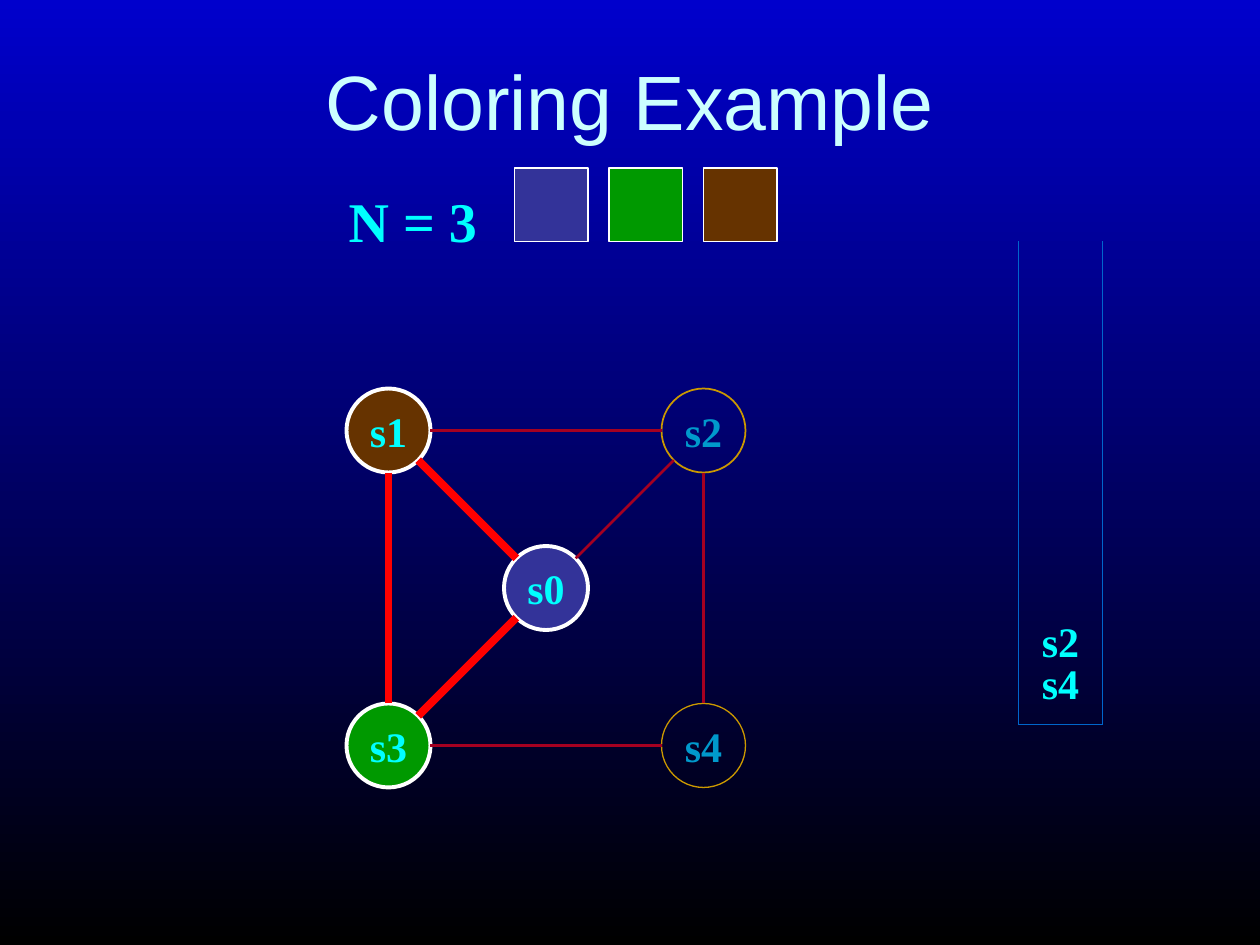
from math import hypot

from pptx import Presentation
from pptx.dml.color import RGBColor
from pptx.enum.shapes import MSO_CONNECTOR as Connector, MSO_SHAPE as Preset
from pptx.enum.text import MSO_ANCHOR as Anchor, MSO_AUTO_SIZE as AutoSize, PP_ALIGN as Align
from pptx.oxml.ns import qn
from pptx.util import Pt
from lxml.etree import SubElement

BLUE = RGBColor(0x00, 0x00, 0xCC)
BLACK = RGBColor(0x00, 0x00, 0x00)
WHITE = RGBColor(0xFF, 0xFF, 0xFF)
PALE_CYAN = RGBColor(0xCC, 0xFF, 0xFF)
CYAN = RGBColor(0x00, 0xFF, 0xFF)
DIM_CYAN = RGBColor(0x00, 0x99, 0xCC)
STACK_BLUE = RGBColor(0x00, 0x66, 0xCC)
GOLD = RGBColor(0xCC, 0x99, 0x00)
RED = RGBColor(0xFF, 0x00, 0x00)
DARK_RED = RGBColor(0xA5, 0x00, 0x21)
INDIGO = RGBColor(0x33, 0x33, 0x99)
GREEN = RGBColor(0x00, 0x99, 0x00)
BROWN = RGBColor(0x66, 0x33, 0x00)

RADIUS = 24
LABEL_SIZE = 36
SWATCH_SIZE = 42
SWATCH_STEP = 54
STACK_LEFT, STACK_RIGHT, STACK_TOP, STACK_BOTTOM = 582, 630, 138, 414

NODES = {
    "s1": (222, 246, BROWN, WHITE, 2.25),
    "s2": (402, 246, None, GOLD, 1),
    "s3": (222, 426, GREEN, WHITE, 2.25),
    "s4": (402, 426, None, GOLD, 0.75),
    "s0": (312, 336, INDIGO, WHITE, 2.25),
}
EDGES = [
    ("s1", "s2", DARK_RED, 1.5),
    ("s0", "s2", DARK_RED, 1.5),
    ("s3", "s4", DARK_RED, 2.25),
    ("s2", "s4", DARK_RED, 2.25),
    ("s1", "s0", RED, 4.5),
    ("s1", "s3", RED, 4.5),
    ("s3", "s0", RED, 4.5),
]


def apply_format(target, values):
    for attribute, value in values.items():
        setattr(target, attribute, value)


def write_text(holder, wording, size, color, font, bold=False):
    frame = holder.text_frame
    frame.text = wording
    frame.vertical_anchor = Anchor.MIDDLE
    paragraph = frame.paragraphs[0]
    paragraph.alignment = Align.CENTER
    run_font = paragraph.runs[0].font
    apply_format(run_font, {"name": font, "size": Pt(size), "bold": bold})
    run_font.color.rgb = color


def add_label(slide, wording, left, top, width=LABEL_SIZE, height=LABEL_SIZE, size=24, color=CYAN):
    label = slide.shapes.add_textbox(Pt(left), Pt(top), Pt(width), Pt(height))
    write_text(label, wording, size, color, "Times New Roman", True)
    apply_format(label.text_frame, {"word_wrap": False, "auto_size": AutoSize.SHAPE_TO_FIT_TEXT})


def add_figure(slide, preset, left, top, size, fill, outline, weight):
    figure = slide.shapes.add_shape(preset, Pt(left), Pt(top), Pt(size), Pt(size))
    figure.shadow.inherit = False
    if fill is None:
        figure.fill.background()
    else:
        figure.fill.solid()
        figure.fill.fore_color.rgb = fill
    figure.line.color.rgb = outline
    figure.line.width = Pt(weight)


def add_line(slide, start, end, color, weight):
    ends = [Pt(length) for length in (*start, *end)]
    line = slide.shapes.add_connector(Connector.STRAIGHT, *ends)
    line.line.color.rgb = color
    line.line.width = Pt(weight)
    SubElement(line._element.spPr, qn("a:effectLst"))


def add_node(slide, name):
    x, y, fill, outline, weight = NODES[name]
    add_figure(slide, Preset.OVAL, x - RADIUS, y - RADIUS, 2 * RADIUS, fill, outline, weight)
    add_label(slide, name, x - LABEL_SIZE / 2, y - LABEL_SIZE / 2,
              color=CYAN if fill else DIM_CYAN)


def add_edge(slide, first, second, color, weight):
    (x1, y1), (x2, y2) = NODES[first][:2], NODES[second][:2]
    share = RADIUS / hypot(x2 - x1, y2 - y1)
    dx, dy = (x2 - x1) * share, (y2 - y1) * share
    add_line(slide, (x1 + dx, y1 + dy), (x2 - dx, y2 - dy), color, weight)


def add_stack(slide, names):
    corners = [(STACK_LEFT, STACK_TOP), (STACK_LEFT, STACK_BOTTOM),
               (STACK_RIGHT, STACK_BOTTOM), (STACK_RIGHT, STACK_TOP)]
    for start, end in zip(corners, corners[1:]):
        add_line(slide, start, end, STACK_BLUE, 0.75)
    for level, name in enumerate(names):
        add_label(slide, name, STACK_LEFT + 6, 372 - 24 * level)


def add_palette(slide):
    add_label(slide, "N = 3", 192, 103, 88, 45, size=32)
    for position, color in enumerate((INDIGO, GREEN, BROWN)):
        add_figure(slide, Preset.RECTANGLE, 294 + SWATCH_STEP * position, 96,
                   SWATCH_SIZE, color, WHITE, 0.75)


def paint_background(slide):
    fill = slide.background.fill
    fill.gradient()
    fill.gradient_angle = 270
    for stop, position, color in zip(fill.gradient_stops, (0, 1), (BLUE, BLACK)):
        stop.position = position
        stop.color.rgb = color


def add_title(slide, wording):
    title = slide.shapes.title
    apply_format(title, {"left": Pt(30), "top": Pt(12), "width": Pt(660), "height": Pt(90)})
    write_text(title, wording, 44, PALE_CYAN, "Arial")


def main():
    deck = Presentation()
    apply_format(deck, {"slide_width": Pt(720), "slide_height": Pt(540)})
    slide = deck.slides.add_slide(deck.slide_layouts[5])
    paint_background(slide)
    add_title(slide, "Coloring Example")
    add_stack(slide, ("s4", "s2"))
    for name in NODES:
        add_node(slide, name)
    for edge in EDGES:
        add_edge(slide, *edge)
    add_palette(slide)
    deck.save("out.pptx")


if __name__ == "__main__":
    main()
